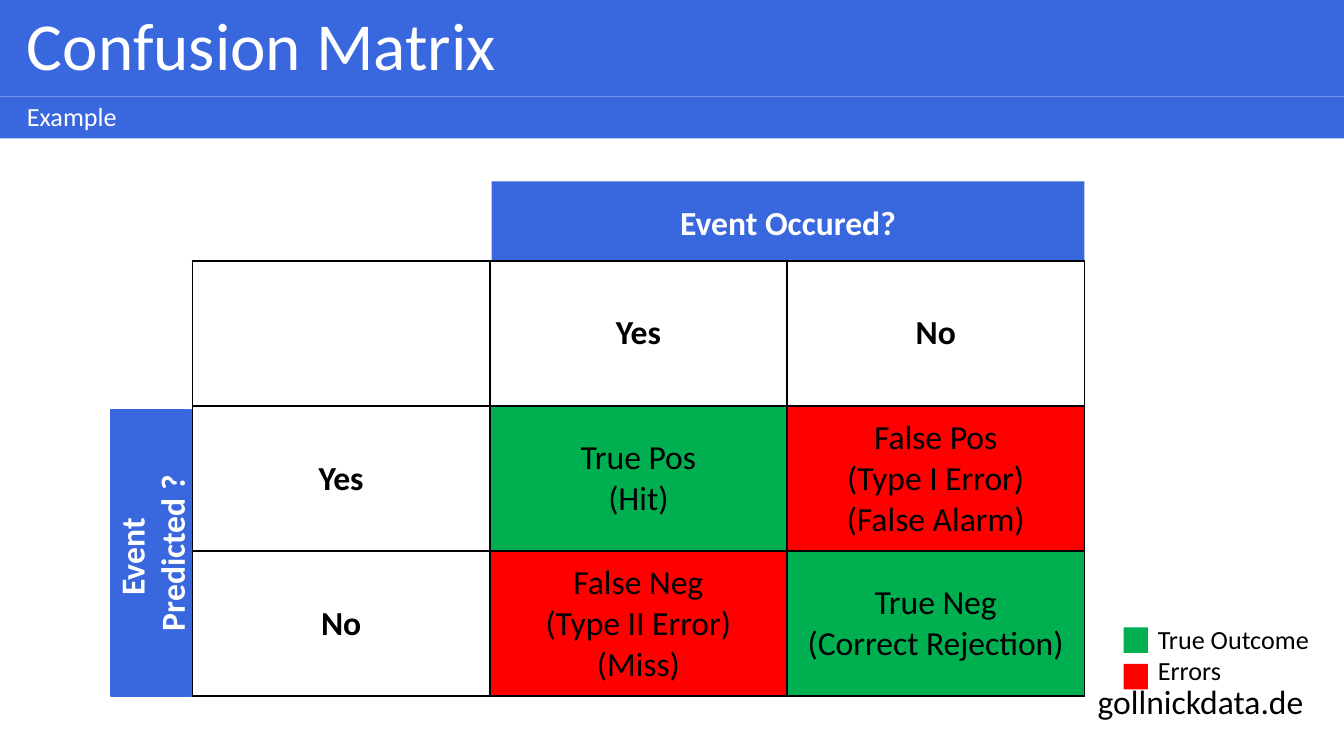
from pptx import Presentation
from pptx.dml.color import RGBColor
from pptx.enum.shapes import MSO_SHAPE as Shape
from pptx.enum.text import MSO_ANCHOR as Anchor, MSO_AUTO_SIZE as Auto, PP_ALIGN as Align
from pptx.oxml import parse_xml
from pptx.oxml.ns import nsdecls
from pptx.util import Pt

THEME = {
    "font": "Calibri", "blue": "3967DE", "white": "FFFFFF", "black": "000000",
    "green": "00B050", "red": "FF0000", "title": 36, "body": 18, "small": 14,
}

# Each bar: text, top, height, type size
BARS = [("Confusion Matrix", 0, 51.84, "title"), ("Example", 51.84, 22.32, "small")]
TOP_HEAD = ["Event Occured?"]
SIDE_HEAD = ["Event ", "Predicted ?"]
# Each cell: lines, fill, bold
MATRIX = [
    [([], "white", True), (["Yes"], "white", True), (["No"], "white", True)],
    [(["Yes"], "white", True),
     (["True Pos", "(Hit)"], "green", False),
     (["False Pos", "(Type I Error)", "(False Alarm)"], "red", False)],
    [(["No"], "white", True),
     (["False Neg", "(Type II Error)", "(Miss)"], "red", False),
     (["True Neg", "(Correct Rejection)"], "green", False)],
]
LEGEND = [("True Outcome", "green"), ("Errors", "red")]
SITE = "gollnickdata.de"

WIDTH, HEIGHT = 720, 405
LEFT, TOP = 103.1, 139.75
COL, ROW = 159.3, 77.75
BAND = 43.2
KEY_LEFT, KEY_TOP, KEY_STEP = 602, 336.1, 19.6


def color(name):
    return RGBColor.from_string(THEME[name])


def write(frame, lines, size="body", ink="black", bold=False, align=Align.LEFT, lead=None):
    for i, line in enumerate(lines):
        par = frame.paragraphs[0] if i == 0 else frame.add_paragraph()
        par.alignment = align
        if lead:
            par.line_spacing = lead
        run = par.add_run()
        run.text = line
        font = run.font
        font.name, font.size, font.bold = THEME["font"], Pt(THEME[size]), bold
        font.color.rgb = color(ink)


def add_rect(slide, x, y, w, h, fill, edge=None):
    rect = slide.shapes.add_shape(Shape.RECTANGLE, Pt(x), Pt(y), Pt(w), Pt(h))
    rect.shadow.inherit = False
    rect.fill.solid()
    rect.fill.fore_color.rgb = color(fill)
    if edge:
        rect.line.color.rgb = color(edge)
        rect.line.width = Pt(1)
    else:
        rect.line.fill.background()
    rect.text_frame.word_wrap = True
    rect.text_frame.vertical_anchor = Anchor.MIDDLE
    return rect


def add_note(slide, x, y, w, h, lines, size, wrap):
    frame = slide.shapes.add_textbox(Pt(x), Pt(y), Pt(w), Pt(h)).text_frame
    frame.word_wrap = wrap
    frame.auto_size = Auto.SHAPE_TO_FIT_TEXT
    write(frame, lines, size)


def add_edges(cell):
    """Draw a thin black line on all four sides of a cell."""
    props = cell._tc.get_or_add_tcPr()
    for i, side in enumerate(("lnL", "lnR", "lnT", "lnB")):
        props.insert(i, parse_xml(
            f'<a:{side} {nsdecls("a")} w="{Pt(1)}"><a:solidFill>'
            f'<a:srgbClr val="{THEME["black"]}"/></a:solidFill></a:{side}>'))


def add_matrix(slide):
    rows, cols = len(MATRIX), len(MATRIX[0])
    table = slide.shapes.add_table(
        rows, cols, Pt(LEFT), Pt(TOP), Pt(cols * COL), Pt(rows * ROW)).table
    table.first_row = table.horz_banding = False
    for col in table.columns:
        col.width = Pt(COL)
    for r, line in enumerate(MATRIX):
        table.rows[r].height = Pt(ROW)
        for c, (lines, fill, bold) in enumerate(line):
            cell = table.cell(r, c)
            cell.vertical_anchor = Anchor.MIDDLE
            cell.fill.solid()
            cell.fill.fore_color.rgb = color(fill)
            add_edges(cell)
            write(cell.text_frame, lines, bold=bold, align=Align.CENTER)


def add_heads(slide):
    head = {"ink": "white", "bold": True, "align": Align.CENTER}
    top = add_rect(slide, LEFT + COL + 1, TOP - BAND + 0.6, 2 * COL - 1, BAND, "blue")
    write(top.text_frame, TOP_HEAD, **head)
    span = 2 * ROW - 2
    mid_x, mid_y = LEFT - BAND / 2 - 0.5, TOP + 2 * ROW + 1
    side = add_rect(slide, mid_x - span / 2, mid_y - BAND / 2, span, BAND, "blue", "blue")
    side.rotation = 270
    write(side.text_frame, SIDE_HEAD, **head)


def main():
    deck = Presentation()
    deck.slide_width, deck.slide_height = Pt(WIDTH), Pt(HEIGHT)
    slide = deck.slides.add_slide(deck.slide_layouts[6])
    add_note(slide, 581, 361.4, 136, 29, [SITE], "body", True)
    for text, y, h, size in BARS:
        bar = add_rect(slide, 0, y, WIDTH, h, "blue")
        bar.text_frame.margin_left = Pt(14.4)
        write(bar.text_frame, [text], size, "white", lead=0.9)
    add_heads(slide)
    add_matrix(slide)
    for i, (_, fill) in enumerate(LEGEND):
        add_rect(slide, KEY_LEFT, KEY_TOP + i * KEY_STEP, 13, 13.7, fill)
    add_note(slide, 613.2, 330.5, 104, 41, [text for text, _ in LEGEND], "small", False)
    deck.save("out.pptx")


if __name__ == "__main__":
    main()
